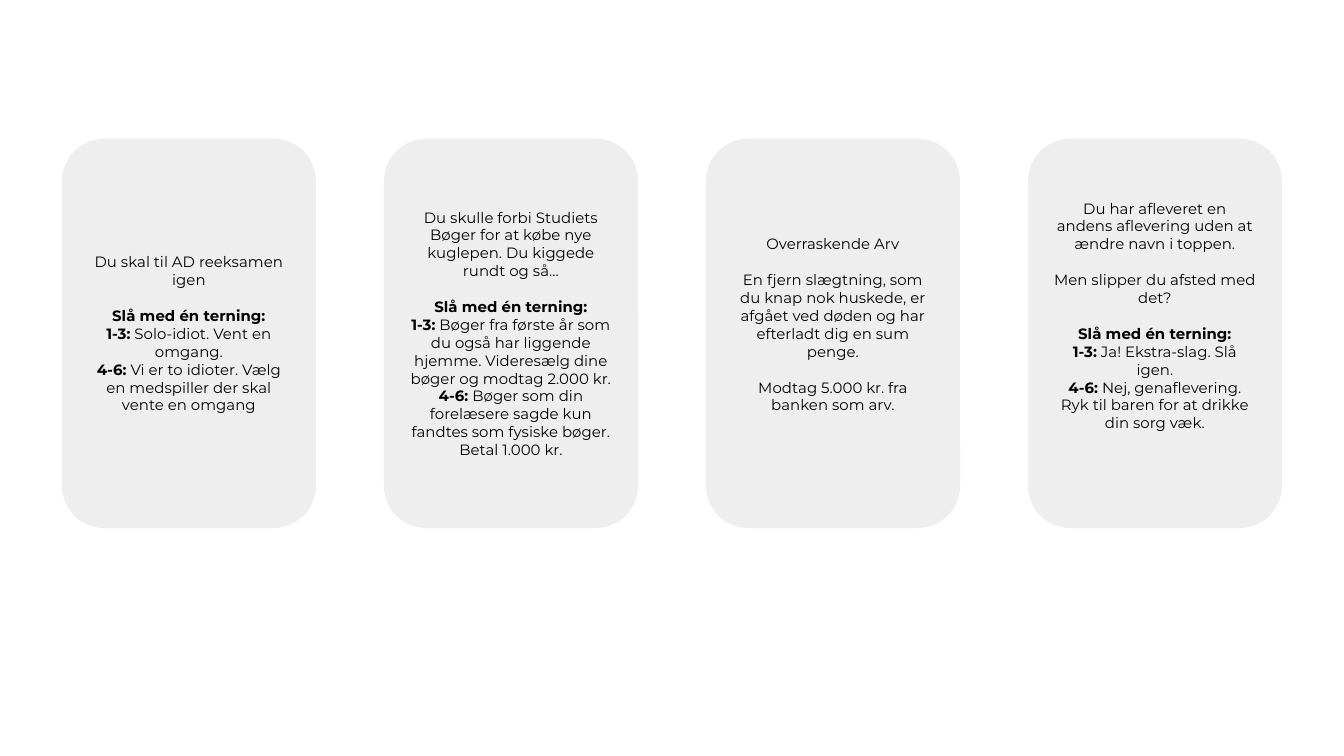
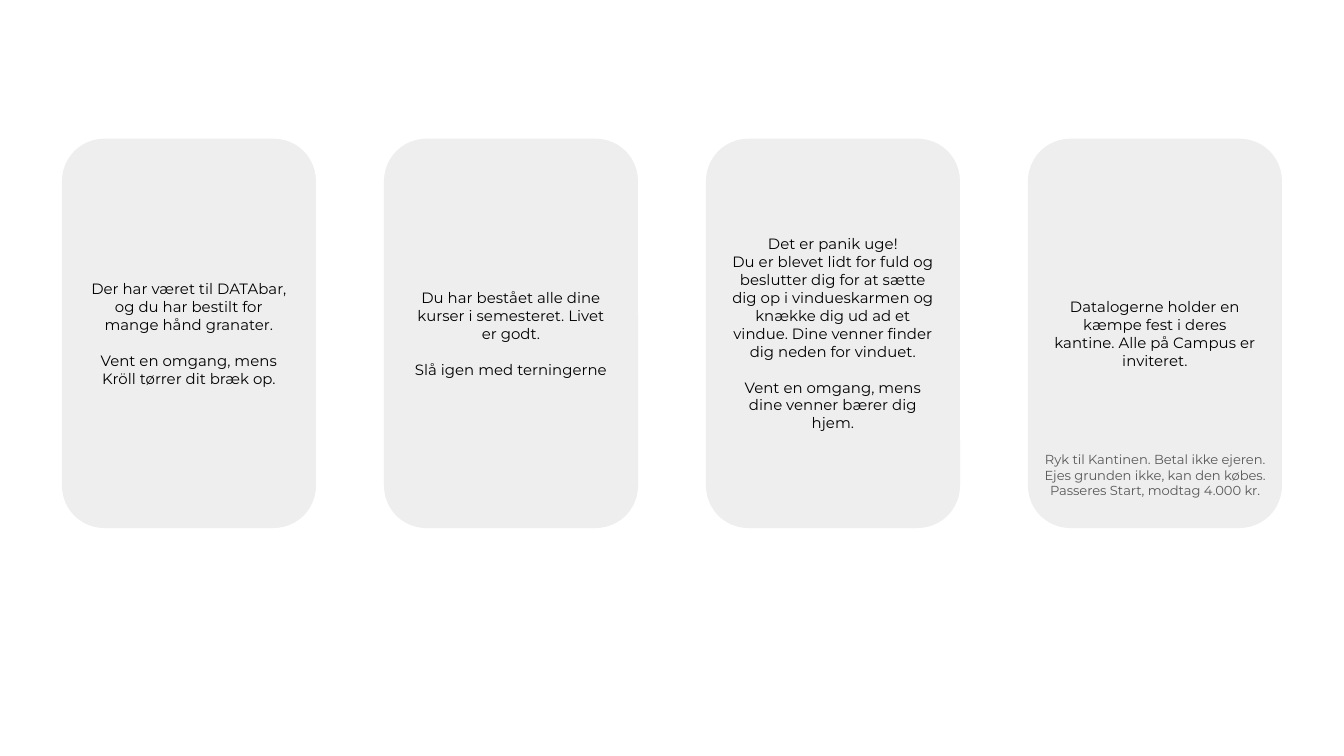
import pptx
import pptx.util
import pptx.dml.color
import pptx.enum.shapes
import pptx.enum.text

Pt = pptx.util.Pt
CARD = pptx.dml.color.RGBColor(0xEE, 0xEE, 0xEE)
BLACK = pptx.dml.color.RGBColor(0x00, 0x00, 0x00)
GREY = pptx.dml.color.RGBColor(0x59, 0x59, 0x59)
FONT = "Montserrat"
LINE = 9.6
INSET = 7.2
LEFT, TOP, WIDTH, HEIGHT, PITCH = 33.2, 74.3, 136.1, 208.6, 172.5
ROLL = "Slå med én terning:\n1-3:"


def add_run(p, text, size, color, bold=False):
    r = p.add_run()
    r.text = text
    r.font.name = FONT
    r.font.size = Pt(size)
    r.font.bold = bold
    r.font.color.rgb = color


def fill_text(tf, paragraphs, size, color, anchor, lift=0):
    tf.word_wrap = True
    tf.vertical_anchor = anchor
    tf.margin_left = tf.margin_right = tf.margin_top = Pt(INSET)
    tf.margin_bottom = Pt(INSET + lift * LINE)
    for i, (gap, label, text) in enumerate(paragraphs):
        p = tf.paragraphs[0] if i == 0 else tf.add_paragraph()
        p.alignment = pptx.enum.text.PP_ALIGN.CENTER
        p.space_before = Pt(gap * LINE)
        if label:
            for j, part in enumerate(label.split("\n")):
                if j:
                    p.add_line_break()
                add_run(p, part, size, color, True)
            text = " " + text
        add_run(p, text, size, color)


slides = [
    [
        (0, [
            (0, "", "Du skal til AD reeksamen igen"),
            (1, ROLL, "Solo-idiot. Vent en omgang."),
            (0, "4-6:", "Vi er to idioter. Vælg en medspiller der skal vente en omgang"),
        ]),
        (0, [
            (0, "", "Du skulle forbi Studiets Bøger for at købe nye kuglepen. "
                    "Du kiggede rundt og så…"),
            (1, ROLL, "Bøger fra første år som du også har liggende hjemme. "
                      "Videresælg dine bøger og modtag 2.000 kr."),
            (0, "4-6:", "Bøger som din forelæsere sagde kun fandtes som fysiske bøger. "
                        "Betal 1.000 kr."),
        ]),
        (1, [
            (0, "", "Overraskende Arv"),
            (1, "", "En fjern slægtning, som du knap nok huskede, er afgået ved døden "
                    "og har efterladt dig en sum penge."),
            (1, "", "Modtag 5.000 kr. fra banken som arv."),
        ]),
        (2, [
            (0, "", "Du har afleveret en andens aflevering uden at ændre navn i toppen."),
            (1, "", "Men slipper du afsted med det?"),
            (1, ROLL, "Ja! Ekstra-slag. Slå igen."),
            (0, "4-6:", "Nej, genaflevering. Ryk til baren for at drikke din sorg væk."),
        ]),
    ],
    [
        (0, [
            (0, "", "Der har været til DATAbar, og du har bestilt for mange hånd granater."),
            (1, "", "Vent en omgang, mens Kröll tørrer dit bræk op."),
        ]),
        (0, [
            (0, "", "Du har bestået alle dine kurser i semesteret. Livet er godt."),
            (1, "", "Slå igen med terningerne"),
        ]),
        (0, [
            (0, "", "Det er panik uge!"),
            (0, "", "Du er blevet lidt for fuld og beslutter dig for at sætte dig op i "
                    "vindueskarmen og knække dig ud ad et vindue. "
                    "Dine venner finder dig neden for vinduet."),
            (1, "", "Vent en omgang, mens dine venner bærer dig hjem."),
        ]),
        (0, [
            (0, "", "Datalogerne holder en kæmpe fest i deres kantine. "
                    "Alle på Campus er inviteret."),
        ]),
    ],
]

prs = pptx.Presentation()
prs.slide_width = Pt(720)
prs.slide_height = Pt(405)

for cards in slides:
    s = prs.slides.add_slide(prs.slide_layouts[6])
    for i, (lift, paragraphs) in enumerate(cards):
        sp = s.shapes.add_shape(
            pptx.enum.shapes.MSO_SHAPE.ROUNDED_RECTANGLE,
            Pt(LEFT + i * PITCH), Pt(TOP), Pt(WIDTH), Pt(HEIGHT))
        sp.shadow.inherit = False
        sp.fill.solid()
        sp.fill.fore_color.rgb = CARD
        sp.line.fill.background()
        fill_text(sp.text_frame, paragraphs, 8, BLACK,
                  pptx.enum.text.MSO_ANCHOR.MIDDLE, lift)

note = s.shapes.add_textbox(Pt(552.2), Pt(234.7), Pt(133.2), Pt(40.3))
fill_text(note.text_frame,
          [(0, "", "Ryk til Kantinen. Betal ikke ejeren. Ejes grunden ikke, kan den købes. "
                   "Passeres Start, modtag 4.000 kr.")],
          7, GREY, pptx.enum.text.MSO_ANCHOR.TOP)

prs.save("out.pptx")
